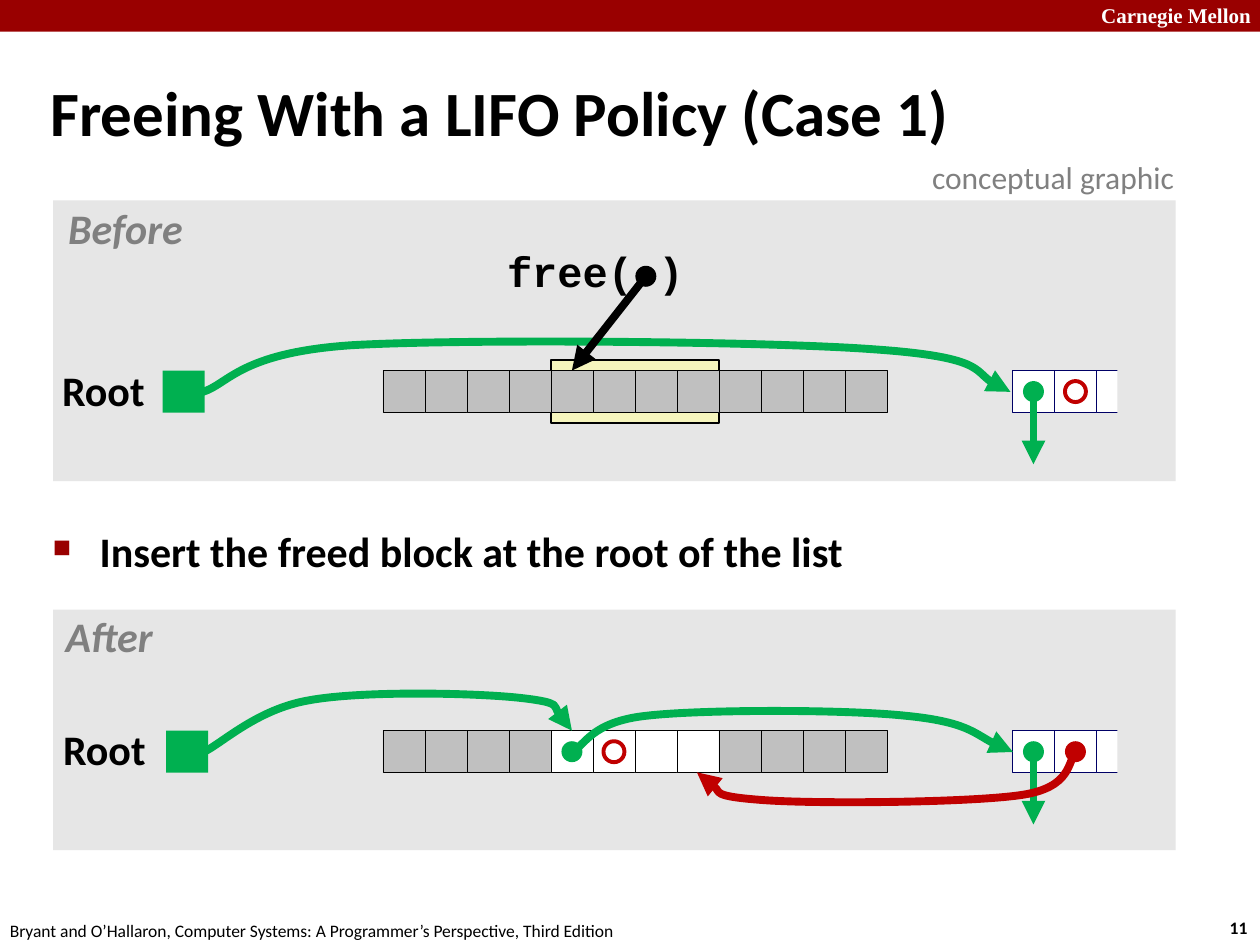
from lxml.etree import SubElement
from pptx import Presentation
from pptx.dml.color import RGBColor
from pptx.enum.shapes import MSO_CONNECTOR, MSO_SHAPE
from pptx.enum.text import MSO_ANCHOR, MSO_AUTO_SIZE, PP_ALIGN
from pptx.oxml.ns import qn
from pptx.util import Cm, Pt

GREEN, RED, BLACK, WHITE = "00B050", "C00000", "000000", "FFFFFF"
GREY, PANEL, BRICK, NAVY = "808080", "E6E6E6", "990000", "000066"
CELL = 10.16 / 12
DOT = CELL / 2
HEAP_LEFT, LIST_LEFT = 7.72, 20.41
color = RGBColor.from_string

deck = Presentation()
deck.slide_width, deck.slide_height = Cm(25.4), Cm(19.05)
page = deck.slides.add_slide(deck.slide_layouts[5])


def add_block(left, top, width, height, fill=None, line=None, weight=0.25,
              kind=MSO_SHAPE.RECTANGLE):
    block = page.shapes.add_shape(kind, Cm(left), Cm(top), Cm(width), Cm(height))
    block.shadow.inherit = False
    if fill:
        block.fill.solid()
        block.fill.fore_color.rgb = color(fill)
    else:
        block.fill.background()
    if line:
        block.line.color.rgb = color(line)
        block.line.width = Pt(weight)
    else:
        block.line.fill.background()
    return block


def format_text(box, text, size, ink=BLACK, bold=True, italic=False,
                font="Calibri", spacing=1.0, align=PP_ALIGN.LEFT):
    para = box.text_frame.paragraphs[0]
    para.text = text
    para.line_spacing = spacing
    para.alignment = align
    span = para.runs[0].font
    span.name, span.size, span.bold, span.italic = font, Pt(size), bold, italic
    span.color.rgb = color(ink)


# Title
title = page.shapes.title
title.left, title.top, title.width, title.height = Cm(0.76), Cm(1.27), Cm(24.21), Cm(2.18)
title.text_frame.auto_size = MSO_AUTO_SIZE.NONE
title.text_frame.vertical_anchor = MSO_ANCHOR.MIDDLE
format_text(title, "Freeing With a LIFO Policy (Case 1)", 36, spacing=0.87)

# Header bar, panels and the block to be freed
add_block(0, 0, 25.4, 0.64, BRICK)
add_block(1.07, 4.04, 22.63, 5.66, PANEL)
add_block(1.07, 12.29, 22.63, 4.85, PANEL)
add_block(HEAP_LEFT + 4 * CELL, 7.26, 4 * CELL, 1.27, "F6F5BD", BLACK, 0.75)

# Header, footer and caption
for text, left, top, width, height, style in [
    ("Carnegie Mellon", 21.95, -0.08, 3.63, 0.76,
     {"size": 12, "ink": WHITE, "font": "Times New Roman"}),
    ("11", 24.54, 18.36, 0.94, 0.69, {"size": 10}),
    ("Bryant and O’Hallaron, Computer Systems: A Programmer’s Perspective, Third Edition",
     -0.05, 18.42, 12.9, 0.69, {"size": 10, "bold": False}),
    ("conceptual graphic", 18.54, 3.07, 5.51, 1.02,
     {"size": 18, "ink": GREY, "bold": False}),
]:
    box = page.shapes.add_textbox(Cm(left), Cm(top), Cm(width), Cm(height))
    format_text(box, text, **style)

# Bullet between the panels
box = page.shapes.add_textbox(Cm(0.81), Cm(10.54), Cm(23.09), Cm(1.55))
box.text_frame.word_wrap = True
properties = box.text_frame.paragraphs[0]._p.get_or_add_pPr()
properties.set("marL", str(Cm(0.95)))
properties.set("indent", str(-Cm(0.95)))
SubElement(SubElement(properties, qn("a:buClr")), qn("a:srgbClr"), val=BRICK)
SubElement(properties, qn("a:buSzPct"), val="60000")
SubElement(properties, qn("a:buChar"), char="■")
format_text(box, "Insert the freed block at the root of the list", 24, spacing=0.95)

# Memory rows: top, root left, fills of the block's cells, dots (left, fill, line)
strokes = []
heap_rows = []
for top, root_left, block_fill, dots in [
    (7.47, 3.28, "C0C0C0", [(LIST_LEFT, GREEN, None), (LIST_LEFT + CELL, None, RED)]),
    (14.73, 3.35, WHITE, [(LIST_LEFT, GREEN, None), (LIST_LEFT + CELL, RED, None),
                          (HEAP_LEFT + 4 * CELL, GREEN, None),
                          (HEAP_LEFT + 5 * CELL, None, RED)]),
]:
    heap_rows.append([
        add_block(HEAP_LEFT + i * CELL, top, CELL, CELL,
                  block_fill if 4 <= i < 8 else "C0C0C0", BLACK)
        for i in range(12)])
    add_block(root_left, top, CELL, CELL, GREEN)
    for i in range(3):
        add_block(LIST_LEFT + i * CELL, top, CELL, CELL, WHITE, NAVY)
    # Cut the last list cell in half
    add_block(LIST_LEFT + 2.5 * CELL, top - 0.21, CELL, 1.27, PANEL)
    for left, fill, line in dots:
        add_block(left + DOT / 2, top + DOT / 2, DOT, DOT, fill, line, 2.25, MSO_SHAPE.OVAL)
    center = Cm(LIST_LEFT + DOT)
    strokes.append((page.shapes.add_connector(
        MSO_CONNECTOR.STRAIGHT, center, Cm(top + DOT), center, Cm(top + 1.89)), GREEN))

# Curved pointers: a start point, then three points for each Bézier segment
for ink, points in [
    (GREEN, [(4.09, 7.9), (4.6, 7.75), (4.83, 7.11), (7.09, 6.96), (9.32, 6.83),
             (15.37, 6.88), (17.58, 7.04), (19.79, 7.19), (19.79, 7.72), (20.37, 7.9)]),
    (GREEN, [(11.53, 15.16), (11.79, 15.04), (11.91, 14.55), (13.03, 14.43), (14.15, 14.3),
             (17.04, 14.3), (18.26, 14.43), (19.48, 14.55), (19.96, 15.01), (20.42, 15.16)]),
    (RED, [(21.69, 15.19), (21.51, 15.32), (21.64, 15.88), (20.57, 16.03), (19.53, 16.18),
           (16.48, 16.21), (15.39, 16.13), (14.3, 16.05), (14.33, 15.7), (14.05, 15.57)]),
    (GREEN, [(4.11, 15.16), (4.47, 14.99), (5.18, 14.3), (6.22, 14.12), (7.29, 13.92),
             (9.6, 13.97), (10.49, 14.07), (11.38, 14.17), (11.33, 14.58), (11.53, 14.73)]),
]:
    start, *rest = [(Cm(x), Cm(y)) for x, y in points]
    builder = page.shapes.build_freeform(*start)
    builder.add_line_segments(rest, close=False)
    curve = builder.convert_to_shape()
    curve.fill.background()
    outline = next(curve.element.iter(qn("a:path")))
    steps = outline.findall(qn("a:lnTo"))
    for i in range(0, len(steps), 3):
        bezier = SubElement(outline, qn("a:cubicBezTo"))
        for step in steps[i:i + 3]:
            bezier.append(step[0])
            outline.remove(step)
    strokes.append((curve, ink))

# Labels
for text, left, top, width, style in [
    ("free( )", 10.08, 4.93, 3.84, {"font": "Courier New"}),
    ("Root", 1.12, 7.34, 1.93, {}),
    ("Root", 1.14, 14.58, 1.93, {}),
    ("Before", 1.22, 4.06, 2.62, {"ink": GREY, "italic": True}),
    ("After", 1.17, 12.29, 2.06, {"ink": GREY, "italic": True}),
]:
    box = page.shapes.add_textbox(Cm(left), Cm(top), Cm(width), Cm(1.19))
    frame = box.text_frame
    frame.margin_left = frame.margin_right = Cm(0.13)
    frame.margin_top = frame.margin_bottom = Cm(0.13)
    format_text(box, text, 24, spacing=0.9, align=PP_ALIGN.CENTER, **style)

# Argument of free, pointing at the first cell of its block
add_block(13.02 - DOT / 2, 5.57 - DOT / 2, DOT, DOT, BLACK, kind=MSO_SHAPE.OVAL)
argument = page.shapes.add_connector(
    MSO_CONNECTOR.STRAIGHT, Cm(13.02), Cm(5.57), Cm(11.53), Cm(7.47))
argument.end_connect(heap_rows[0][4], 0)
strokes.append((argument, BLACK))

# Line style and arrowheads of all pointers
for stroke, ink in strokes:
    stroke.line.color.rgb = color(ink)
    stroke.line.width = Pt(4.5)
    properties = stroke.element.spPr
    SubElement(properties.find(qn("a:ln")), qn("a:tailEnd"), type="triangle")
    SubElement(properties, qn("a:effectLst"))

deck.save("out.pptx")
